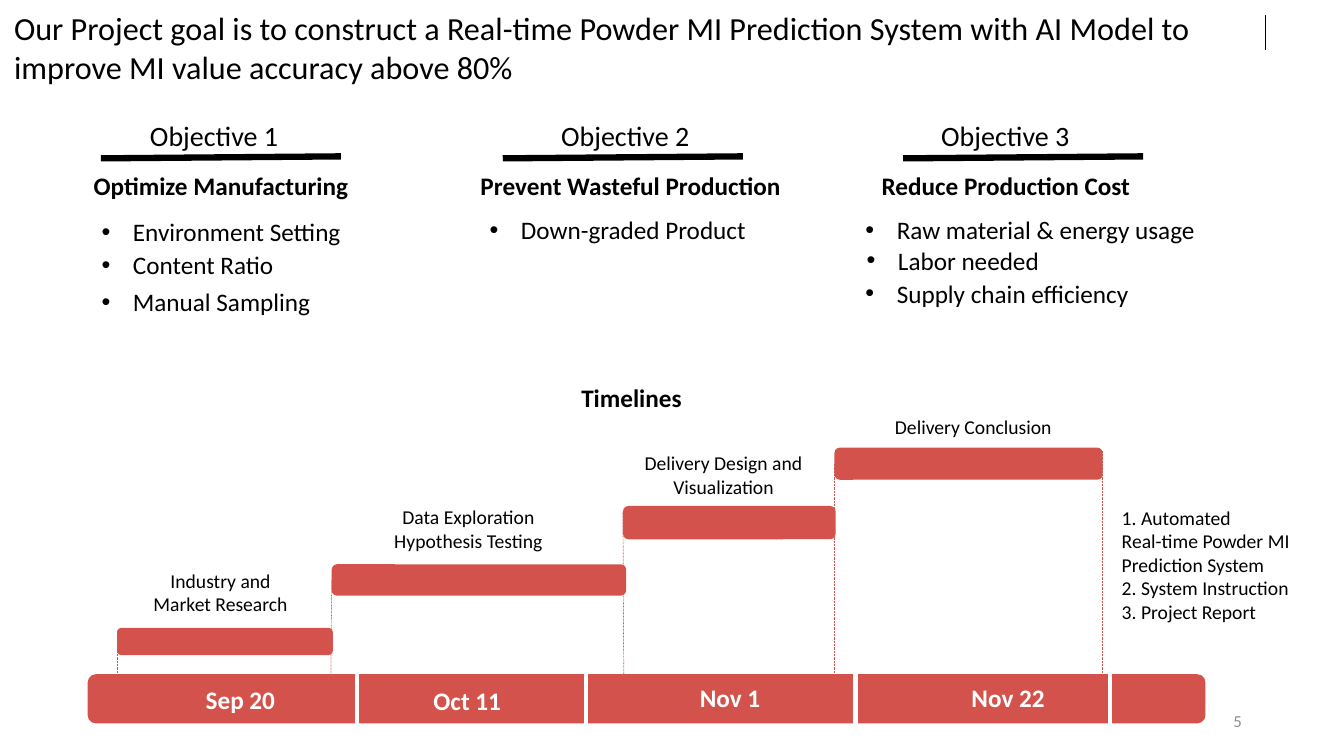
from dataclasses import dataclass

from lxml import etree
from pptx import Presentation
from pptx.dml.color import RGBColor
from pptx.enum.dml import MSO_LINE
from pptx.enum.shapes import MSO_CONNECTOR, MSO_SHAPE
from pptx.enum.text import MSO_ANCHOR, MSO_AUTO_SIZE, PP_ALIGN
from pptx.oxml.ns import qn
from pptx.shapes.base import BaseShape
from pptx.slide import Slide
from pptx.text.text import TextFrame
from pptx.util import Cm, Pt

LEFT, CENTER, RIGHT = PP_ALIGN.LEFT, PP_ALIGN.CENTER, PP_ALIGN.RIGHT
TOP, MIDDLE = MSO_ANCHOR.TOP, MSO_ANCHOR.MIDDLE
DOTTED = MSO_LINE.ROUND_DOT
STRAIGHT = MSO_CONNECTOR.STRAIGHT
ROUNDED = MSO_SHAPE.ROUNDED_RECTANGLE
FIT_SHAPE, NO_FIT = MSO_AUTO_SIZE.SHAPE_TO_FIT_TEXT, MSO_AUTO_SIZE.NONE

FONT = "Calibri"
BLACK, WHITE, RED, GRAY = "000000", "FFFFFF", "D3534C", "8C8C8C"
LINE_HEIGHT = 1.02
BULLET_INDENT = 0.79


@dataclass(frozen=True)
class Box:
    """A rectangle in centimetres."""
    left: float
    top: float
    width: float
    height: float = LINE_HEIGHT


@dataclass(frozen=True)
class TextStyle:
    size: float
    color: str = BLACK
    bold: bool = False
    align: PP_ALIGN = LEFT
    anchor: MSO_ANCHOR = TOP
    wrap: bool = False
    bullet: bool = False
    autosize: MSO_AUTO_SIZE = FIT_SHAPE


@dataclass(frozen=True)
class Label:
    text: str
    box: Box


@dataclass(frozen=True)
class Objective:
    name: Label
    heading: Label
    rule_left: float
    bullets: tuple[Label, ...]


@dataclass(frozen=True)
class Phase:
    label: Label
    bar: Box
    wrap: bool = True


@dataclass(frozen=True)
class Segment:
    """A straight line between two points, in centimetres."""
    x1: float
    y1: float
    x2: float
    y2: float


TITLE = Label("Our Project goal is to construct a Real-time Powder MI Prediction System "
              "with AI Model to improve MI value accuracy above 80%",
              Box(0.1, 0.08, 30.66, 2.24))
OBJECTIVES = (
    Objective(Label("Objective 1", Box(3.53, 2.87, 3.94, 1.12)),
              Label("Optimize Manufacturing", Box(2.11, 4.17, 6.99)), 2.54,
              (Label("Environment Setting", Box(2.31, 5.33, 6.63)),
               Label("Content Ratio", Box(2.31, 6.17, 4.9)),
               Label("Manual Sampling", Box(2.31, 7.09, 6.68)))),
    Objective(Label("Objective 2", Box(13.89, 2.87, 3.78, 1.12)),
              Label("Prevent Wasteful Production", Box(11.86, 4.17, 8.15)), 12.67,
              (Label("Down-graded Product", Box(12.09, 5.28, 7.04)),)),
    Objective(Label("Objective 3", Box(23.47, 2.87, 3.78, 1.12)),
              Label("Reduce Production Cost", Box(21.97, 4.17, 6.83)), 22.76,
              (Label("Raw material & energy usage", Box(21.56, 5.28, 8.92)),
               Label("Labor needed", Box(21.59, 6.05, 4.93)),
               Label("Supply chain efficiency", Box(21.56, 6.88, 7.24)))),
)
TIMELINE_HEADING = Label("Timelines", Box(14.4, 9.5, 3.05))
DATE_BAR = Box(2.21, 16.99, 28.17, 1.24)
DATES = (
    Label("Sep 20", Box(4.93, 17.12, 2.26)),
    Label("Oct 11", Box(10.67, 17.15, 2.21)),
    Label("Nov 1", Box(17.37, 17.07, 2.06)),
    Label("Nov 22", Box(24.21, 17.07, 2.39)),
)
DIVIDERS = (
    Segment(8.99, 16.99, 8.99, 18.24),
    Segment(14.76, 16.79, 14.76, 18.26),
    Segment(21.56, 16.59, 21.56, 18.31),
    Segment(27.97, 16.99, 27.97, 18.72),
)
GUIDES = (
    Segment(2.95, 17.86, 2.95, 16.15),
    Segment(8.33, 18.11, 8.36, 14.61),
    Segment(15.72, 17.45, 15.7, 12.88),
    Segment(21.03, 17.68, 21.03, 11.68),
    Segment(27.79, 17.68, 27.79, 11.35),
)
PHASES = (
    Phase(Label("Industry and Market Research", Box(3.45, 14.2, 4.22, 1.45)),
          Box(2.95, 15.82, 5.44, 0.69)),
    Phase(Label("Data Exploration Hypothesis Testing", Box(8.92, 12.6, 5.77, 1.45)),
          Box(8.36, 14.22, 7.42, 0.79)),
    Phase(Label("Delivery Design and Visualization", Box(15.44, 11.25, 5.59, 1.45)),
          Box(15.7, 12.75, 5.36, 0.84)),
    Phase(Label("Delivery Conclusion", Box(22.28, 10.34, 4.5, 0.86)),
          Box(21.03, 11.28, 6.76, 0.81), wrap=False),
)
DELIVERABLES = Label("1. Automated\nReal-time Powder MI\nPrediction System\n"
                     "2. System Instruction\n3. Project Report",
                     Box(28.02, 12.62, 5.8, 3.25))
PAGE_NUMBER = Label("5", Box(23.93, 17.65, 7.62))
CORNER_MARK = Segment(31.9, 0.38, 31.9, 1.27)


def rgb(color: str) -> RGBColor:
    return RGBColor.from_string(color)


def place(shape: BaseShape, box: Box) -> None:
    shape.left, shape.top = Cm(box.left), Cm(box.top)
    shape.width, shape.height = Cm(box.width), Cm(box.height)


def write(frame: TextFrame, text: str, style: TextStyle) -> None:
    frame.text = text
    frame.word_wrap = style.wrap
    frame.auto_size = style.autosize
    frame.vertical_anchor = style.anchor
    for paragraph in frame.paragraphs:
        paragraph.alignment = style.align
        if style.bullet:
            properties = paragraph._p.get_or_add_pPr()
            properties.set("marL", str(Cm(BULLET_INDENT)))
            properties.set("indent", str(-Cm(BULLET_INDENT)))
            etree.SubElement(properties, qn("a:buFont"), typeface="Arial")
            etree.SubElement(properties, qn("a:buChar"), char="•")
        font = paragraph.font
        font.name, font.size, font.bold = FONT, Pt(style.size), style.bold
        font.color.rgb = rgb(style.color)


def add_label(slide: Slide, label: Label, style: TextStyle) -> None:
    shape = slide.shapes.add_textbox(0, 0, 0, 0)
    write(shape.text_frame, label.text, style)
    place(shape, label.box)


def add_bar(slide: Slide, box: Box) -> None:
    shape = slide.shapes.add_shape(ROUNDED, 0, 0, 0, 0)
    place(shape, box)
    shape.shadow.inherit = False
    shape.fill.solid()
    shape.fill.fore_color.rgb = rgb(RED)
    shape.line.fill.background()


def add_line(slide: Slide, segment: Segment, color: str, width: float,
             dash: MSO_LINE | None = None) -> None:
    connector = slide.shapes.add_connector(
        STRAIGHT, Cm(segment.x1), Cm(segment.y1), Cm(segment.x2), Cm(segment.y2))
    connector.line.color.rgb = rgb(color)
    connector.line.width = Pt(width)
    connector.line.dash_style = dash
    etree.SubElement(connector._element.spPr, qn("a:effectLst"))


def add_objective(slide: Slide, objective: Objective) -> None:
    add_label(slide, objective.name, TextStyle(20))
    add_label(slide, objective.heading, TextStyle(18, bold=True))
    for bullet in objective.bullets:
        add_label(slide, bullet, TextStyle(18, bullet=True))
    left = objective.rule_left
    add_line(slide, Segment(left, 3.99, left + 6.05, 3.94), BLACK, 4.5)


def add_timeline(slide: Slide) -> None:
    add_label(slide, TIMELINE_HEADING, TextStyle(18, bold=True))
    add_bar(slide, DATE_BAR)
    for divider in DIVIDERS:
        add_line(slide, divider, WHITE, 3)
    for date in DATES:
        add_label(slide, date, TextStyle(18, WHITE, bold=True, align=CENTER))
    for guide in GUIDES:
        add_line(slide, guide, RED, 0.5, DOTTED)
    for phase in PHASES:
        add_bar(slide, phase.bar)
        add_label(slide, phase.label, TextStyle(14, align=CENTER, wrap=phase.wrap))
    add_label(slide, DELIVERABLES, TextStyle(14, wrap=True))


def main() -> None:
    presentation = Presentation()
    presentation.slide_width, presentation.slide_height = Cm(33.87), Cm(19.05)
    slide = presentation.slides.add_slide(presentation.slide_layouts[5])
    title = slide.shapes.title
    write(title.text_frame, TITLE.text, TextStyle(23, wrap=True))
    place(title, TITLE.box)
    for objective in OBJECTIVES:
        add_objective(slide, objective)
    add_timeline(slide)
    add_line(slide, CORNER_MARK, BLACK, 0.5)
    add_label(slide, PAGE_NUMBER,
              TextStyle(12, GRAY, align=RIGHT, anchor=MIDDLE, wrap=True, autosize=NO_FIT))
    presentation.save("out.pptx")


if __name__ == "__main__":
    main()
